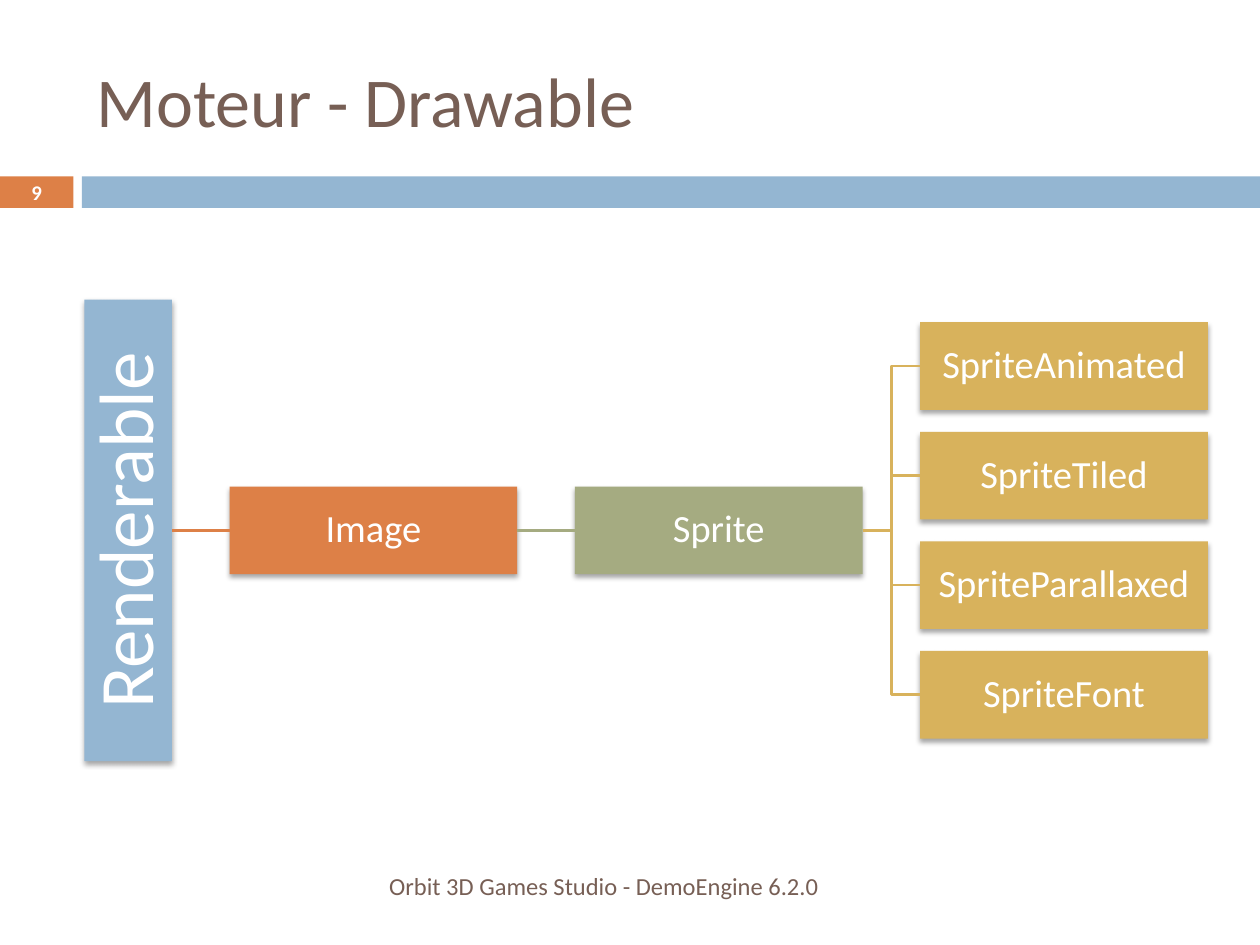
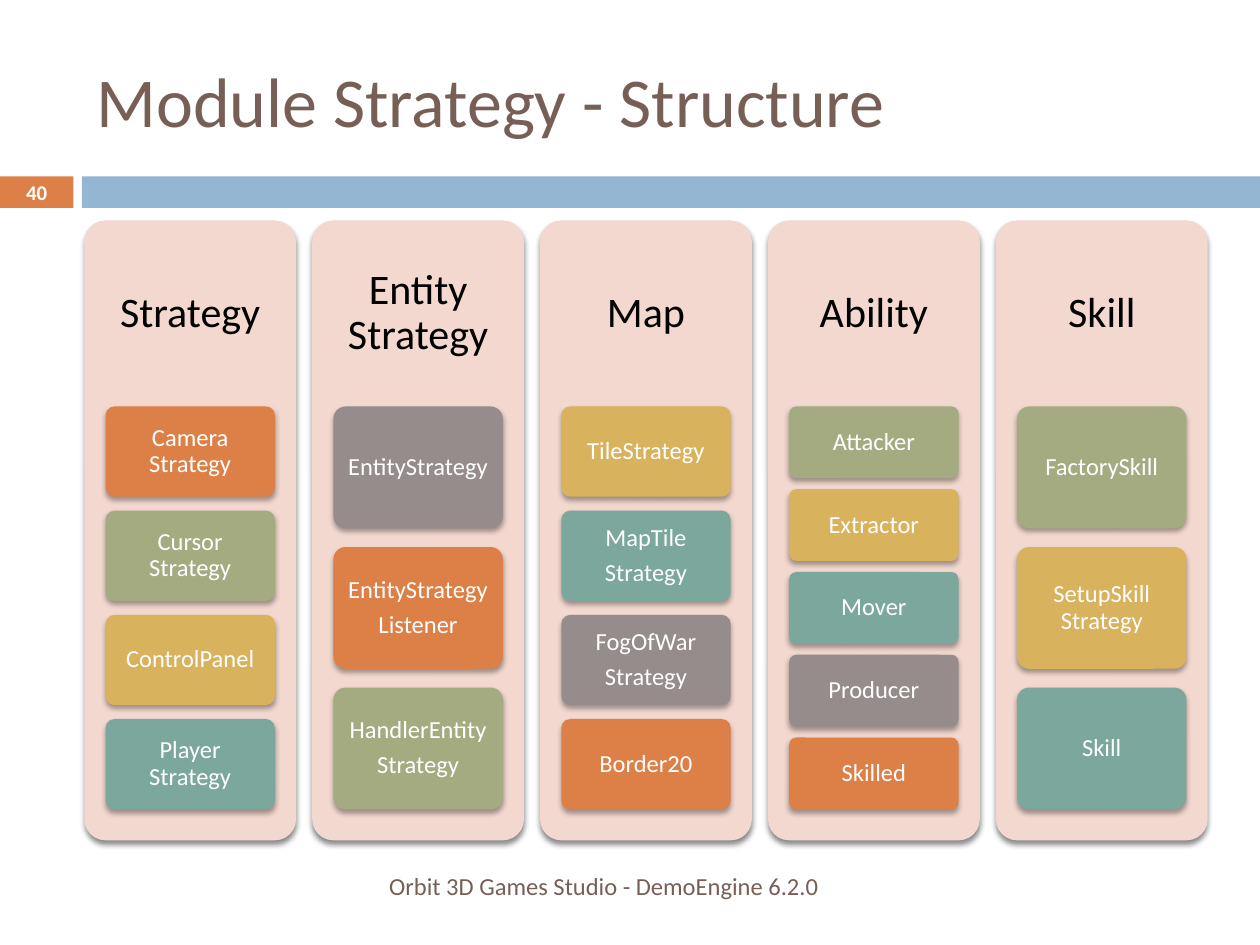
"""Build two slides: a class tree and a five-column module chart."""
from dataclasses import dataclass

from lxml.etree import SubElement
from pptx import Presentation
from pptx.dml.color import RGBColor
from pptx.enum.shapes import MSO_CONNECTOR, MSO_SHAPE
from pptx.enum.text import MSO_ANCHOR, PP_ALIGN
from pptx.oxml.ns import qn
from pptx.util import Pt


@dataclass(frozen=True)
class Theme:
    font: str = "Calibri"
    brown: str = "775F55"
    blue: str = "94B6D2"
    orange: str = "DD8047"
    green: str = "A5AB81"
    gold: str = "D8B25C"
    teal: str = "7BA79D"
    gray: str = "968C8C"
    pink: str = "F2D8CF"
    white: str = "FFFFFF"
    black: str = "000000"
    title: float = 40
    root: float = 44
    node: float = 22
    head: float = 24
    item: float = 14
    foot: float = 14
    page: float = 11.9


T = Theme()

FOOTER = "Orbit 3D Games Studio - DemoEngine 6.2.0"

TREE = {
    "title": "Moteur - Drawable",
    "page": "9",
    "root": "Renderable",
    "chain": [("Image", T.orange), ("Sprite", T.green)],
    "leaves": ["SpriteAnimated", "SpriteTiled", "SpriteParallaxed", "SpriteFont"],
}

CHART = {
    "title": "Module Strategy - Structure",
    "page": "40",
    "columns": [
        ("Strategy", [
            (["Camera\nStrategy"], T.orange),
            (["Cursor\nStrategy"], T.green),
            (["ControlPanel"], T.gold),
            (["Player\nStrategy"], T.teal),
        ]),
        ("Entity\nStrategy", [
            (["EntityStrategy"], T.gray),
            (["EntityStrategy", "Listener"], T.orange),
            (["HandlerEntity", "Strategy"], T.green),
        ]),
        ("Map", [
            (["TileStrategy"], T.gold),
            (["MapTile", "Strategy"], T.teal),
            (["FogOfWar", "Strategy"], T.gray),
            (["Border20"], T.orange),
        ]),
        ("Ability", [
            (["Attacker"], T.green),
            (["Extractor"], T.gold),
            (["Mover"], T.teal),
            (["Producer"], T.gray),
            (["Skilled"], T.orange),
        ]),
        ("Skill", [
            (["FactorySkill"], T.green),
            (["SetupSkill\nStrategy"], T.gold),
            (["Skill"], T.teal),
        ]),
    ],
}

LEFT, RIGHT = 48.2, 690.1


def color(code):
    """Turn a hex code into a colour."""
    return RGBColor.from_string(code)


def write(shape, paras, size, ink, align=PP_ALIGN.CENTER, bold=False,
          inset=(7.2, 3.6, 7.2, 3.6), tight=False):
    """Fill a shape with middle-anchored text, run by run."""
    frame = shape.text_frame
    frame.word_wrap = True
    frame.vertical_anchor = MSO_ANCHOR.MIDDLE
    (frame.margin_left, frame.margin_top,
     frame.margin_right, frame.margin_bottom) = map(Pt, inset)
    for i, text in enumerate(paras):
        para = frame.add_paragraph() if i else frame.paragraphs[0]
        para.alignment = align
        if tight:
            para.line_spacing = 0.9
            para.space_after = Pt(0.35 * size)
        for j, line in enumerate(text.split("\n")):
            if j:
                para.add_line_break()
            run = para.add_run()
            run.text = line
            run.font.name = T.font
            run.font.size = Pt(size)
            run.font.bold = bold
            run.font.color.rgb = color(ink)


def label(slide, box, text, size, ink, align, bold=False):
    """Add a text box holding one line."""
    shape = slide.shapes.add_textbox(*map(Pt, box))
    write(shape, [text], size, ink, align, bold)


def block(slide, box, fill, kind=MSO_SHAPE.RECTANGLE):
    """Add a plain filled shape with no line or shadow."""
    shape = slide.shapes.add_shape(kind, *map(Pt, box))
    shape.shadow.inherit = False
    shape.fill.solid()
    shape.fill.fore_color.rgb = color(fill)
    shape.line.fill.background()
    if kind == MSO_SHAPE.ROUNDED_RECTANGLE:
        shape.adjustments[0] = 0.1
    return shape


def shade(shape, drop=2, alpha=35):
    """Give a shape a soft shadow that falls straight down."""
    effects = shape.element.spPr.find(qn("a:effectLst"))
    outer = SubElement(effects, qn("a:outerShdw"), blurRad=str(Pt(3)),
                       dist=str(Pt(drop)), dir="5400000", rotWithShape="0")
    tone = SubElement(outer, qn("a:srgbClr"), val=T.black)
    SubElement(tone, qn("a:alpha"), val=str(alpha * 1000))


def link(slide, start, end, ink, kind=MSO_CONNECTOR.STRAIGHT):
    """Join the right side of one shape to the left side of the next."""
    line = slide.shapes.add_connector(kind, 0, 0, 0, 0)
    line.begin_connect(start, 3)
    line.end_connect(end, 1)
    line.line.color.rgb = color(ink)
    line.line.width = Pt(1.5)
    SubElement(line.element.spPr, qn("a:effectLst"))


def begin(deck, data):
    """Add a slide with its title, bands, footer and page number."""
    slide = deck.slides.add_slide(deck.slide_layouts[5])
    block(slide, (0, 100.8, 42, 18), T.orange)
    block(slide, (46.8, 100.8, 673.2, 18), T.blue)
    title = slide.shapes.title
    title.left, title.top, title.width, title.height = map(Pt, (48, 18, 642, 78))
    write(title, [data["title"]], T.title, T.brown, PP_ALIGN.LEFT)
    label(slide, (48, 492, 427, 28.8), FOOTER, T.foot, T.brown, PP_ALIGN.RIGHT)
    label(slide, (0, 100, 42, 19.6), data["page"], T.page, T.white,
          PP_ALIGN.CENTER, True)
    return slide


def draw_tree(deck, data):
    """Draw the class tree from left to right."""
    slide = begin(deck, data)
    wide, high, gap, mid, step = 164.4, 50.1, 32.9, 303.1, 62.6

    def node(text, x, y, fill):
        shape = block(slide, (x, y - high / 2, wide, high), fill)
        shade(shape)
        write(shape, [text], T.node, T.white, inset=(1.4,) * 4, tight=True)
        return shape

    tall = 263.7
    last = block(slide, (LEFT, mid - tall / 2, high, tall), T.blue)
    shade(last)
    write(last, [data["root"]], T.root, T.white, inset=(2,) * 4, tight=True)
    last.element.txBody.bodyPr.set("vert", "vert270")

    x = LEFT + high + gap
    for text, fill in data["chain"]:
        shape = node(text, x, mid, fill)
        link(slide, last, shape, fill)
        last = shape
        x += wide + gap

    leaves = data["leaves"]
    for i, text in enumerate(leaves):
        leaf = node(text, x, mid + (i - (len(leaves) - 1) / 2) * step, T.gold)
        link(slide, last, leaf, T.gold, MSO_CONNECTOR.ELBOW)


def draw_chart(deck, data):
    """Draw one panel per column with its items stacked evenly."""
    slide = begin(deck, data)
    top, tall, wide = 126, 354.2, 121
    head, stack, ratio = 0.3 * tall, 0.65 * tall, 0.154
    columns = data["columns"]
    pitch = (RIGHT - LEFT - wide) / (len(columns) - 1)
    for i, (name, items) in enumerate(columns):
        x = LEFT + i * pitch
        panel = block(slide, (x, top, wide, tall), T.pink,
                      MSO_SHAPE.ROUNDED_RECTANGLE)
        shade(panel, 2.4, 45)
        write(panel, [name], T.head, T.black,
              inset=(7.2, 7.2, 7.2, tall - head + 7.2), tight=True)
        count = len(items)
        high = stack / (count + ratio * (count - 1))
        for j, (paras, fill) in enumerate(items):
            y = top + head + j * high * (1 + ratio)
            card = block(slide, (x + 0.1 * wide, y, 0.8 * wide, high), fill,
                         MSO_SHAPE.ROUNDED_RECTANGLE)
            shade(card)
            write(card, paras, T.item, T.white,
                  inset=(4.3, 3.6, 4.3, 3.6), tight=True)


def main():
    """Build the deck and save it."""
    deck = Presentation()
    deck.slide_width, deck.slide_height = Pt(720), Pt(540)
    draw_tree(deck, TREE)
    draw_chart(deck, CHART)
    deck.save("out.pptx")


if __name__ == "__main__":
    main()
